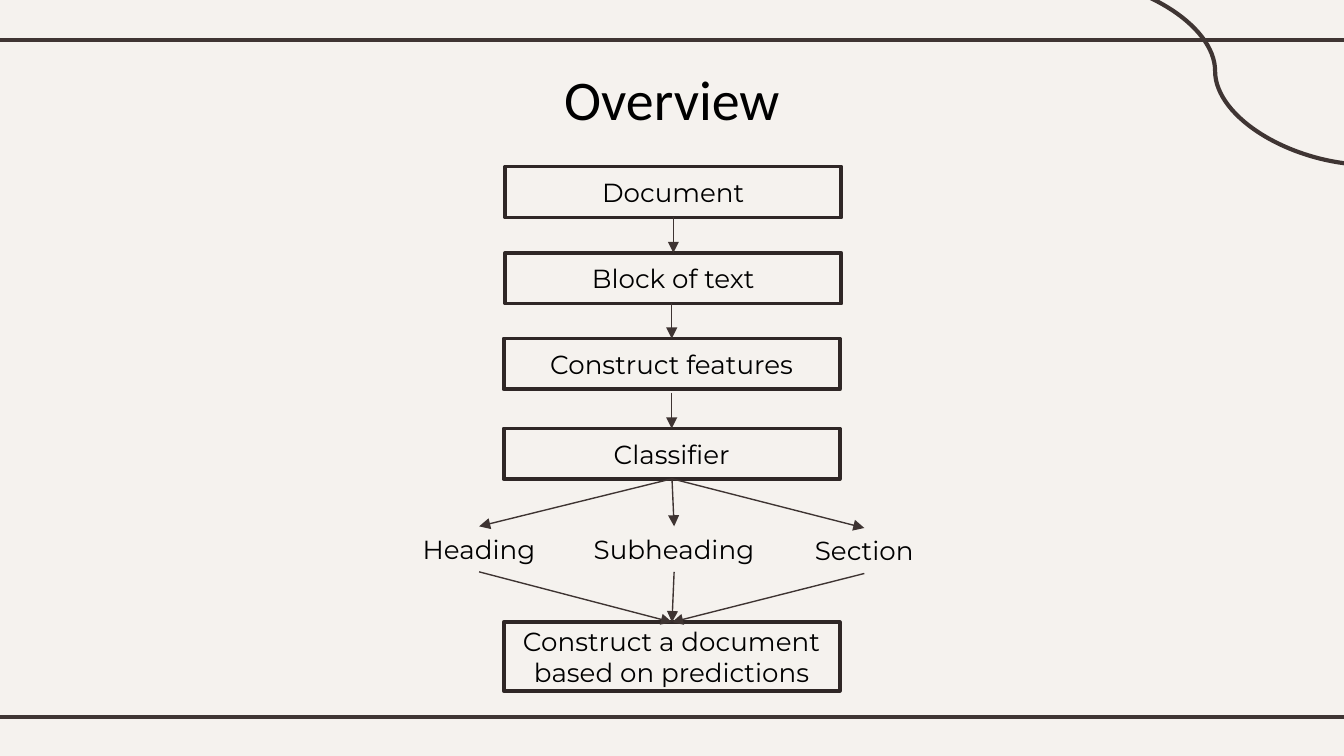
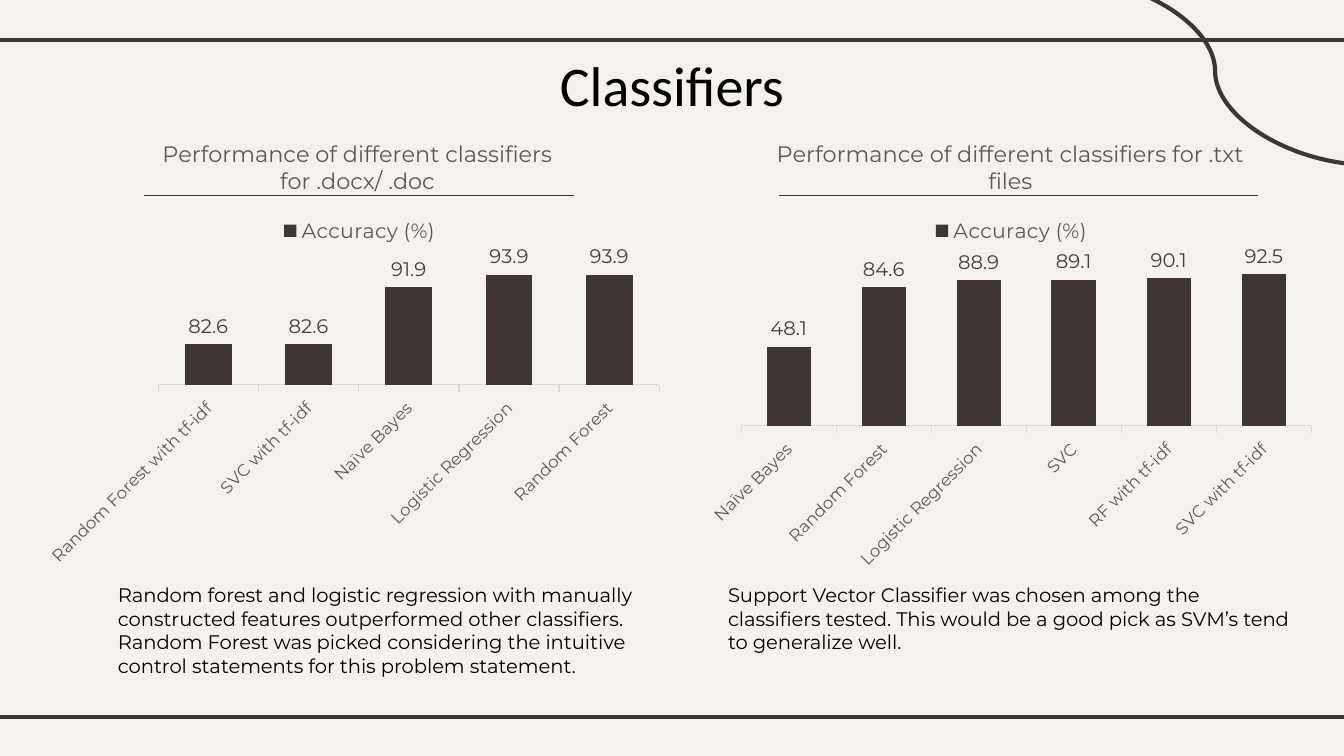
from lxml.etree import SubElement
from pptx import Presentation
from pptx.chart.data import CategoryChartData
from pptx.dml.color import RGBColor
from pptx.enum.chart import XL_CHART_TYPE as ChartType
from pptx.enum.chart import XL_LABEL_POSITION as LabelPosition
from pptx.enum.chart import XL_LEGEND_POSITION as LegendPosition
from pptx.enum.chart import XL_TICK_MARK as TickMark
from pptx.enum.shapes import MSO_CONNECTOR as Connector
from pptx.enum.shapes import MSO_SHAPE as Shape
from pptx.enum.text import MSO_ANCHOR as Anchor
from pptx.enum.text import PP_ALIGN as Align
from pptx.oxml.ns import qn
from pptx.util import Cm, Pt

COLORS = {
    "background": "F5F2EE",
    "band": "3F3533",
    "arrow": "3E3432",
    "box": "2F2726",
    "text": "000000",
    "chart_text": "595959",
    "value": "404040",
    "axis": "D9D9D9",
}
TITLE_FONT = {"name": "Calibri", "size": Pt(30)}
FLOW_FONT = {"name": "Montserrat", "size": Pt(14)}
NOTE_FONT = {"name": "Montserrat", "size": Pt(10.5)}
CHART_FONT = {"name": "Arial", "size": Pt(10)}
CHART_TITLE_FONT = {"name": "Montserrat", "size": Pt(12), "bold": False}
LEGEND_FONT = {"name": "Montserrat", "size": Pt(11)}
CATEGORY_FONT = {"name": "Montserrat", "size": Pt(9)}

CENTER_X = 12.7
BOX_WIDTH, BOX_HEIGHT = 6.35, 0.96
ARROW_LENGTH = 0.68
LABEL_HEIGHT = 0.86
CLASSIFIER_BOTTOM, RESULT_TOP = 9.05, 11.76
UNDERLINE_Y = 3.7

STEPS = [
    ("Document", 9.55, 3.15),
    ("Block of text", 9.55, 4.78),
    ("Construct features", 9.52, 6.4),
    ("Classifier", 9.52, 8.1),
]
CLASSES = [
    ("Heading", 7.48, 9.95, 3.15),
    ("Subheading", 10.85, 9.95, 3.78),
    ("Section", 14.76, 9.98, 3.15),
]
PERFORMANCE = [
    {
        "title": "Performance of different classifiers for .docx/ .doc",
        "left": 0.86,
        "accuracy": {
            "Random Forest with tf-idf": 82.6,
            "SVC with tf-idf": 82.6,
            "Naïve Bayes": 91.9,
            "Logistic Regression": 93.9,
            "Random Forest": 93.9,
        },
        "scale": {"minimum_scale": 76, "maximum_scale": 96},
        "plot": {"x": 0.18, "y": 0.31, "w": 0.8, "h": 0.27},
        "title_x": 0.18,
        "underline": (2.72, 10.85),
        "note": "Random forest and logistic regression with manually constructed "
                "features outperformed other classifiers. Random Forest was picked "
                "considering the intuitive control statements for this problem statement.",
        "note_box": (1.98, 10.9, 11.2, 2.06),
    },
    {
        "title": "Performance of different classifiers for .txt files",
        "left": 13.18,
        "accuracy": {
            "Naïve Bayes": 48.1,
            "Random Forest": 84.6,
            "Logistic Regression": 88.9,
            "SVC": 89.1,
            "RF with tf-idf": 90.1,
            "SVC with tf-idf": 92.5,
        },
        "scale": {"minimum_scale": 0, "maximum_scale": 100},
        "plot": {"x": 0.07, "y": 0.31, "w": 0.91, "h": 0.36},
        "title_x": 0.12,
        "underline": (14.73, 23.77),
        "note": "Support Vector Classifier was chosen among the classifiers tested. "
                "This would be a good pick as SVM’s tend to generalize well.",
        "note_box": (13.51, 10.9, 11.2, 1.6),
    },
]


def rgb(role):
    """Return the colour for a named role."""
    return RGBColor.from_string(COLORS[role])


def apply(target, values):
    """Set each attribute of target from a dict of format values."""
    for attribute, value in values.items():
        setattr(target, attribute, value)


def style_font(font, values, role="text"):
    """Format a font and give it a solid colour."""
    apply(font, values)
    font.color.rgb = rgb(role)


def write(frame, wording, font, align):
    """Fill a text frame with one formatted paragraph."""
    frame.word_wrap = True
    paragraph = frame.paragraphs[0]
    paragraph.alignment = align
    run = paragraph.add_run()
    run.text = wording
    style_font(run.font, font)


def add_text(slide, wording, area, font, align=Align.CENTER):
    """Add a text box and return its frame."""
    frame = slide.shapes.add_textbox(*map(Cm, area)).text_frame
    write(frame, wording, font, align)
    return frame


def add_line(slide, start, end, role="arrow", width=0.75, kind=Connector.STRAIGHT, arrow=False):
    """Draw a connector between two points, with an optional arrowhead."""
    connector = slide.shapes.add_connector(kind, *map(Cm, (*start, *end)))
    connector.line.color.rgb = rgb(role)
    connector.line.width = Pt(width)
    if arrow:
        SubElement(connector.line._get_or_add_ln(), qn("a:tailEnd"), type="triangle")
    SubElement(connector._element.spPr, qn("a:effectLst"))


def add_box(slide, wording, left, top, height=BOX_HEIGHT):
    """Add an outlined process box."""
    box = slide.shapes.add_shape(
        Shape.FLOWCHART_PROCESS, *map(Cm, (left, top, BOX_WIDTH, height)))
    box.shadow.inherit = False
    box.fill.background()
    box.line.color.rgb = rgb("box")
    box.line.width = Pt(2)
    box.text_frame.vertical_anchor = Anchor.MIDDLE
    write(box.text_frame, wording, FLOW_FONT, Align.CENTER)


def add_page(deck, title, title_top):
    """Add a slide with the shared background, bands, curve and title."""
    slide = deck.slides.add_slide(deck.slide_layouts[6])
    slide.background.fill.solid()
    slide.background.fill.fore_color.rgb = rgb("background")
    for band_y in (0.76, 13.55):
        add_line(slide, (-0.2, band_y), (25.6, band_y), "band", 2.25)
    add_line(slide, (20.02, -0.43), (25.91, 3.12), "band", 2.25, Connector.CURVE)
    frame = add_text(slide, title, (1.98, title_top, 21.44, 1.6), TITLE_FONT)
    apply(frame, {"margin_top": Cm(0.25), "margin_bottom": Cm(0.25)})
    return slide


def pin(part, predecessor=None, target=None, **fractions):
    """Place a chart part at fractions of the chart area."""
    for old_layout in part.findall(qn("c:layout")):
        part.remove(old_layout)
    layout = SubElement(part, qn("c:layout"))
    if predecessor:
        part.find(qn(predecessor)).addnext(layout)
    else:
        part.insert(0, layout)
    manual = SubElement(layout, qn("c:manualLayout"))
    if target:
        SubElement(manual, qn("c:layoutTarget"), val=target)
    for mode in ("xMode", "yMode"):
        SubElement(manual, qn(f"c:{mode}"), val="edge")
    for side, fraction in fractions.items():
        SubElement(manual, qn(f"c:{side}"), val=str(fraction))


def style_axes(chart, scale):
    """Show slanted categories and hide the value axis."""
    categories = chart.category_axis
    apply(categories, {"has_major_gridlines": False, "major_tick_mark": TickMark.OUTSIDE})
    style_font(categories.tick_labels.font, CATEGORY_FONT, "chart_text")
    categories._element.find(qn("c:txPr")).find(qn("a:bodyPr")).set("rot", "-2700000")
    categories.format.line.color.rgb = rgb("axis")
    categories.format.line.width = Pt(0.75)
    apply(chart.value_axis, {"has_major_gridlines": False, "visible": False, **scale})


def style_bars(plot):
    """Colour the bars and label them with their values."""
    apply(plot, {"gap_width": 114, "overlap": -27,
                 "vary_by_categories": False, "has_data_labels": True})
    fill = plot.series[0].format.fill
    fill.solid()
    fill.fore_color.rgb = rgb("band")
    apply(plot.data_labels, {"show_value": True, "position": LabelPosition.OUTSIDE_END})
    style_font(plot.data_labels.font, NOTE_FONT, "value")


def add_performance(slide, result):
    """Add an accuracy chart with its underline and note."""
    data = CategoryChartData()
    data.categories = list(result["accuracy"])
    data.add_series("Accuracy (%)", list(result["accuracy"].values()))
    chart = slide.shapes.add_chart(
        ChartType.COLUMN_CLUSTERED,
        *map(Cm, (result["left"], 2.29, 11.84, 8.59)), data).chart
    style_font(chart.font, CHART_FONT)
    apply(chart, {"has_title": True, "has_legend": True})

    heading = chart.chart_title.text_frame.paragraphs[0].add_run()
    heading.text = result["title"]
    style_font(heading.font, CHART_TITLE_FONT, "chart_text")
    pin(chart.chart_title._element, "c:tx", x=result["title_x"], y=0.03)

    apply(chart.legend, {"position": LegendPosition.TOP, "include_in_layout": False})
    style_font(chart.legend.font, LEGEND_FONT, "chart_text")
    pin(chart.legend._element, "c:legendPos", x=0.37, y=0.2)

    style_axes(chart, result["scale"])
    style_bars(chart.plots[0])
    pin(chart._chartSpace.chart.plotArea, target="inner", **result["plot"])

    start, end = result["underline"]
    add_line(slide, (start, UNDERLINE_Y), (end, UNDERLINE_Y))
    add_text(slide, result["note"], result["note_box"], NOTE_FONT, Align.LEFT)


def add_overview(deck):
    """Build the flow from document to predictions."""
    slide = add_page(deck, "Overview", 0.97)
    for position, (step, left, top) in enumerate(STEPS):
        add_box(slide, step, left, top)
        if position:
            middle = left + BOX_WIDTH / 2
            add_line(slide, (middle, top - ARROW_LENGTH), (middle, top), arrow=True)
    add_box(slide, "Construct a document based on predictions", 9.52, RESULT_TOP, 1.3)
    for label, left, top, width in CLASSES:
        middle = left + width / 2
        add_text(slide, label, (left, top, width, LABEL_HEIGHT), FLOW_FONT)
        add_line(slide, (CENTER_X, CLASSIFIER_BOTTOM), (middle, top), arrow=True)
        add_line(slide, (middle, top + LABEL_HEIGHT), (CENTER_X, RESULT_TOP), arrow=True)


def add_classifiers(deck):
    """Build the comparison of classifier accuracy."""
    slide = add_page(deck, "Classifiers", 0.71)
    for result in PERFORMANCE:
        add_performance(slide, result)


def main():
    """Build and save the deck."""
    deck = Presentation()
    apply(deck, {"slide_width": Cm(25.4), "slide_height": Cm(14.29)})
    add_overview(deck)
    add_classifiers(deck)
    deck.save("out.pptx")


if __name__ == "__main__":
    main()
